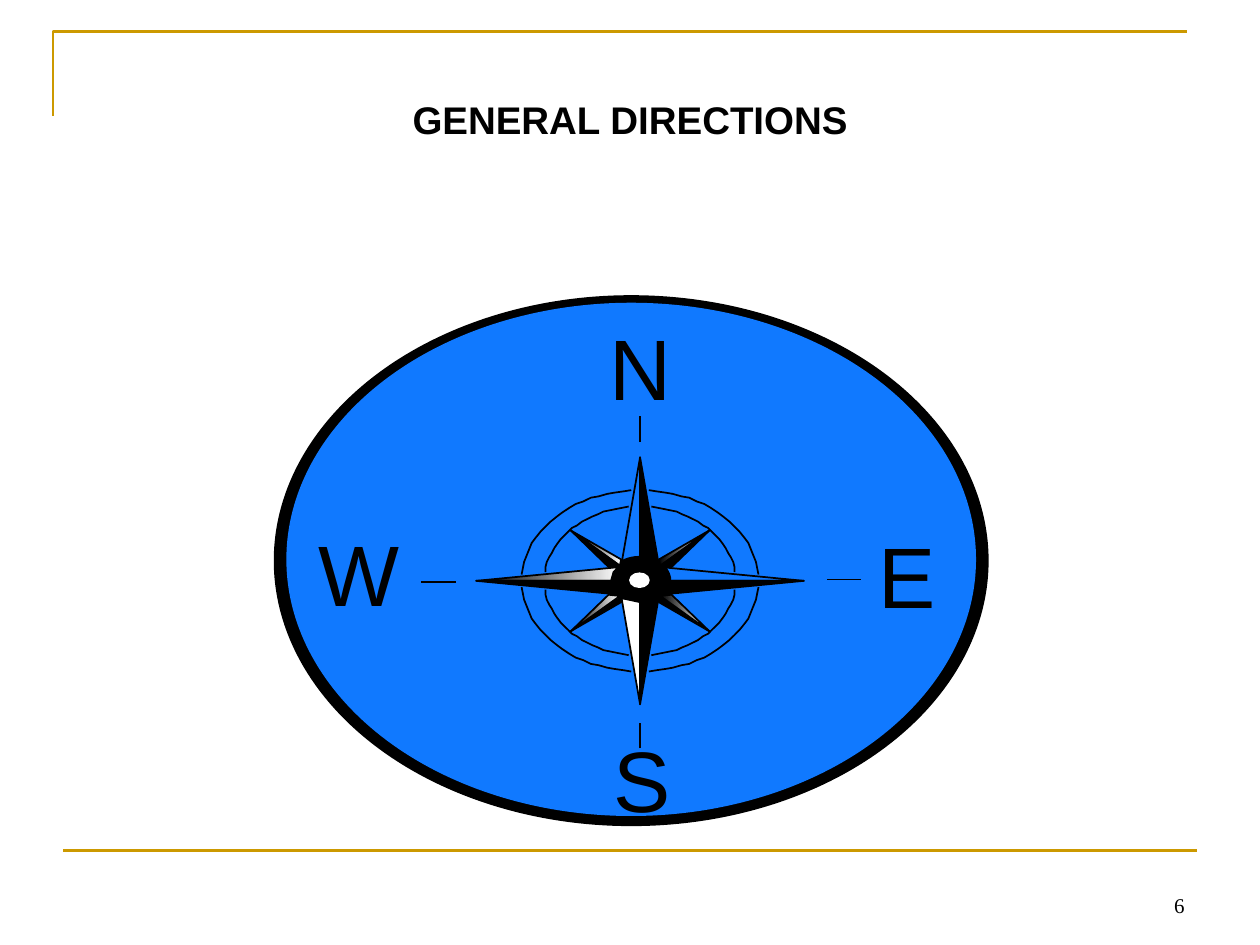
import math
from dataclasses import dataclass

from lxml import etree
from pptx import Presentation
from pptx import util as u
from pptx.dml.color import RGBColor
from pptx.enum import shapes, text
from pptx.oxml import ns

PX = 9144  # EMU in one px, 100 px to the inch
CENTER = (508, 461)


@dataclass(frozen=True)
class Theme:
    gold: str = "CC9900"
    black: str = "000000"
    white: str = "FFFFFF"
    blue: str = "1079FF"
    sans: str = "Arial"
    serif: str = "Times New Roman"
    title_size: int = 22
    letter_size: int = 49
    number_size: int = 12
    thin: float = 1
    rule: float = 1.5
    hub_line: float = 4


THEME = Theme()
GRADIENT = "gradient"

# Needle halves as offsets from the centre, for the lower right quadrant,
# with fills for the quadrants NW, NE, SE, SW.
NEEDLES = [
    ([(15, 12), (0, 98), (0, 17), (9, 15), (14, 14)],
     [None, THEME.black, THEME.black, THEME.white]),
    ([(15, 17), (55, 40), (16, 12)],
     [GRADIENT, GRADIENT, THEME.black, THEME.black]),
    ([(25, 11), (55, 40), (16, 12)],
     [THEME.black, THEME.black, GRADIENT, GRADIENT]),
    ([(16, 11), (130, 0), (23, 0), (21, 7), (18, 10)],
     [GRADIENT, None, THEME.black, THEME.black]),
]
QUADRANTS = [(-1, -1), (1, -1), (1, 1), (-1, 1)]

# Radii across and down, and degrees left open beside each needle.
RINGS = [(94, 72, 4), (76, 59, 7)]

TICKS = [(508, 351, 508, 330), (508, 594, 508, 574),
         (683, 460, 656, 460), (334, 462, 362, 462)]

LETTERS = {"N": (484, 250, 59, 82), "S": (487, 577, 66, 82),
           "W": (253, 413, 73, 82), "E": (697, 415, 60, 82)}


def px(*lengths):
    return [u.Emu(length * PX) for length in lengths]


def style(shape, fill, line, width):
    shape.shadow.inherit = False
    if fill is None:
        shape.fill.background()
    elif fill == GRADIENT:
        shape.fill.gradient()
        shape.fill.gradient_angle = 0
        stops = shape.fill.gradient_stops
        for stop, position, color in zip(stops, (0, 1), (THEME.black, THEME.white)):
            stop.position = position
            stop.color.rgb = RGBColor.from_string(color)
    else:
        shape.fill.solid()
        shape.fill.fore_color.rgb = RGBColor.from_string(fill)
    shape.line.color.rgb = RGBColor.from_string(line)
    shape.line.width = u.Pt(width)


def add_ellipse(slide, box, fill, width=THEME.thin):
    ellipse = slide.shapes.add_shape(shapes.MSO_SHAPE.OVAL, *px(*box))
    style(ellipse, fill, fill, width)


def add_outline(slide, points, fill=None, close=False, line=THEME.black, width=THEME.thin):
    builder = slide.shapes.build_freeform(*points[0], scale=PX)
    builder.add_line_segments(points[1:], close=close)
    style(builder.convert_to_shape(), fill, line, width)


def add_line(slide, ends, color=THEME.black, width=THEME.thin):
    line = slide.shapes.add_connector(shapes.MSO_CONNECTOR.STRAIGHT, *px(*ends))
    line.line.color.rgb = RGBColor.from_string(color)
    line.line.width = u.Pt(width)
    etree.SubElement(line._element.spPr, ns.qn("a:effectLst"))


def add_text(slide, words, box, size, font=THEME.sans, bold=False, align=text.PP_ALIGN.LEFT,
             anchor=text.MSO_ANCHOR.TOP, inset=(0, 0), grow=True, space_after=0):
    frame = slide.shapes.add_textbox(*px(*box)).text_frame
    frame.word_wrap = True
    frame.auto_size = (text.MSO_AUTO_SIZE.SHAPE_TO_FIT_TEXT if grow
                       else text.MSO_AUTO_SIZE.NONE)
    frame.vertical_anchor = anchor
    frame.margin_left, frame.margin_top = px(*inset)
    frame.margin_right, frame.margin_bottom = px(*inset)
    paragraph = frame.paragraphs[0]
    paragraph.alignment = align
    paragraph.space_after = u.Pt(space_after)
    run = paragraph.add_run()
    run.text = words
    run.font.name = font
    run.font.size = u.Pt(size)
    run.font.bold = bold
    run.font.color.rgb = RGBColor.from_string(THEME.black)


def arc_points(across, down, gap, quarter, steps=20):
    """Points on one quarter of an ellipse, leaving a gap at both ends."""
    points = []
    for step in range(steps + 1):
        angle = math.radians(90 * quarter + gap + (90 - 2 * gap) * step / steps)
        points.append((round(CENTER[0] + across * math.cos(angle), 2),
                       round(CENTER[1] + down * math.sin(angle), 2)))
    return points


def add_frame(slide):
    add_outline(slide, [(42, 92), (42, 25), (942, 25)], line=THEME.gold, width=THEME.rule)
    add_line(slide, (50, 675, 950, 675), THEME.gold, THEME.rule)
    add_text(slide, "6", (717, 683, 233, 50), THEME.number_size, font=THEME.serif,
             align=text.PP_ALIGN.RIGHT, anchor=text.MSO_ANCHOR.BOTTOM,
             inset=(10, 5), grow=False)


def add_compass(slide):
    add_ellipse(slide, (218, 235, 566, 420), THEME.black)
    add_ellipse(slide, (228, 241, 546, 406), THEME.blue)
    for ring in RINGS:
        for quarter in range(4):
            add_outline(slide, arc_points(*ring, quarter))
    add_ellipse(slide, (485, 444, 45, 34), THEME.black, THEME.hub_line)
    add_ellipse(slide, (500, 455, 15, 11), THEME.white)
    for offsets, fills in NEEDLES:
        for (flip_x, flip_y), fill in zip(QUADRANTS, fills):
            points = [(CENTER[0] + flip_x * x, CENTER[1] + flip_y * y) for x, y in offsets]
            add_outline(slide, points, fill, close=True)
    for tick in TICKS:
        add_line(slide, tick)
    for letter, box in LETTERS.items():
        add_text(slide, letter, box, THEME.letter_size)


def main():
    presentation = Presentation()
    presentation.slide_width, presentation.slide_height = px(1000, 750)
    slide = presentation.slides.add_slide(presentation.slide_layouts[6])
    add_frame(slide)
    add_compass(slide)
    add_text(slide, "GENERAL DIRECTIONS", (44, 76, 912, 37), THEME.title_size, bold=True,
             align=text.PP_ALIGN.CENTER, anchor=text.MSO_ANCHOR.MIDDLE, space_after=4.1)
    presentation.save("out.pptx")


if __name__ == "__main__":
    main()
